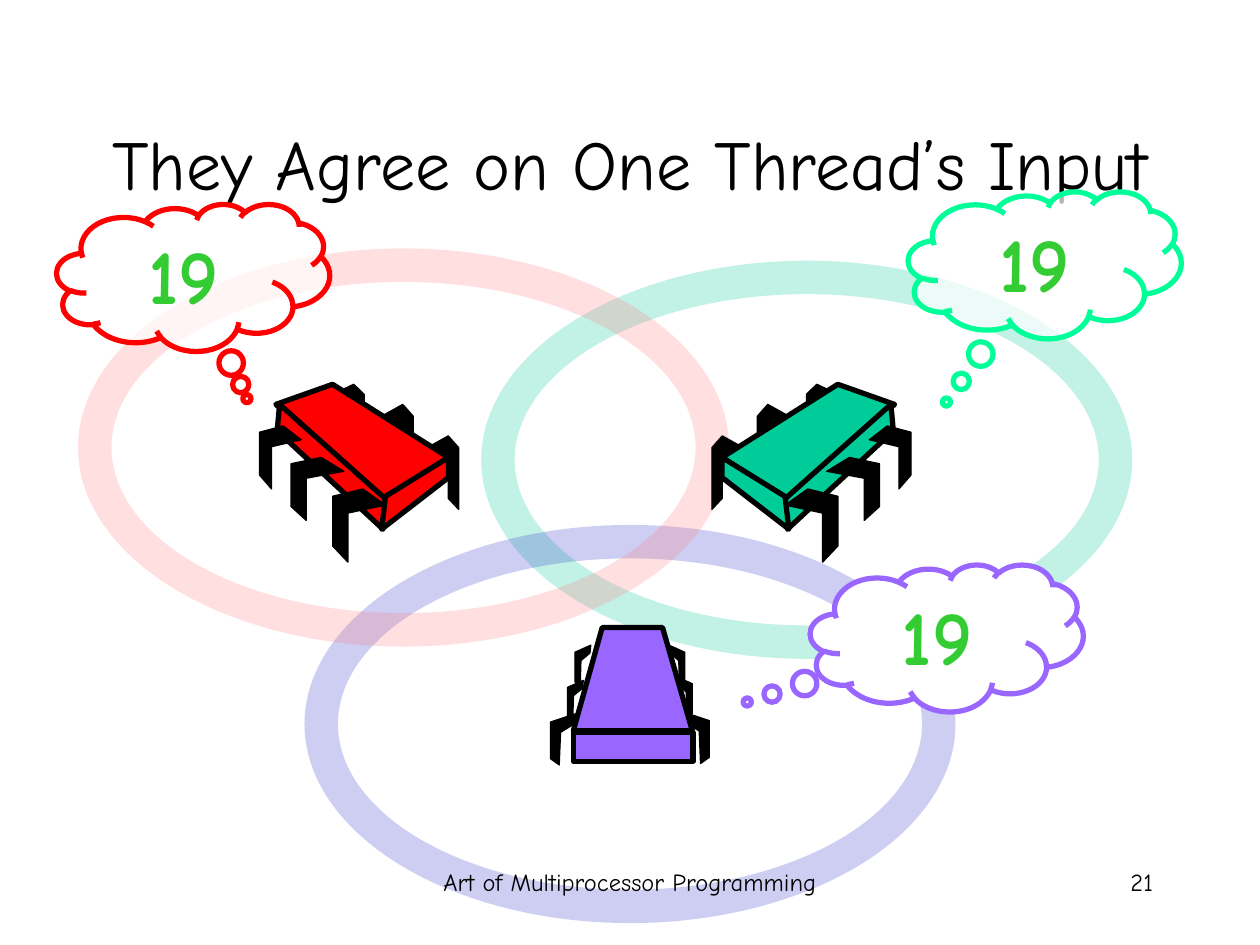
from pptx import Presentation
from pptx.dml.color import RGBColor
from pptx.enum.shapes import MSO_SHAPE
from pptx.enum.text import MSO_ANCHOR, MSO_AUTO_SIZE, PP_ALIGN
from pptx.oxml.ns import qn
from pptx.util import Pt
from lxml import etree

FONT = "Comic Neue"
BLACK = "000000"

# Leg outlines as fractions of their boxes
BACK_LEG = [(0, .16), (.67, 0), (1, .16), (1, 1), (.67, .85), (.67, .29), (0, .43)]
FRONT_LEG = [(.57, 0), (1, .22), (.29, .33), (.29, 1), (0, .78), (0, .1)]
HANGING_LEG = [(0, 0), (1, .17), (1, .88), (.67, 1), (.62, .37), (.05, .19)]


def rgb(color):
    return RGBColor.from_string(color)


def paint(shape, fill, line=None, width=0.75, alpha=None):
    shape.shadow.inherit = False
    shape.fill.solid()
    shape.fill.fore_color.rgb = rgb(fill)
    if alpha is not None:
        color = shape.element.spPr.find(qn("a:solidFill"))[0]
        etree.SubElement(color, qn("a:alpha")).set("val", str(alpha * 1000))
    if line:
        shape.line.color.rgb = rgb(line)
        shape.line.width = Pt(width)
    else:
        shape.line.fill.background()


def write(shape, text, size=14, color=BLACK, bold=False,
          align=PP_ALIGN.CENTER, anchor=MSO_ANCHOR.TOP):
    tf = shape.text_frame
    tf.word_wrap = True
    tf.auto_size = MSO_AUTO_SIZE.NONE
    tf.vertical_anchor = anchor
    p = tf.paragraphs[0]
    p.alignment = align
    r = p.add_run()
    r.text = text
    r.font.name = FONT
    r.font.size = Pt(size)
    r.font.bold = bold
    r.font.color.rgb = rgb(color)


def add_shape(shapes, kind, x, y, w, h):
    return shapes.add_shape(kind, Pt(x), Pt(y), Pt(w), Pt(h))


def add_polygon(shapes, points, x, y, fill, width, mirror=None):
    """Draw points relative to (x, y); mirror is the width to flip them within."""
    if mirror is not None:
        points = [(mirror - px, py) for px, py in points]
    corners = [(Pt(x + px), Pt(y + py)) for px, py in points]
    builder = shapes.build_freeform(*corners[0], scale=1.0)
    builder.add_line_segments(corners[1:], close=True)
    paint(builder.convert_to_shape(), fill, BLACK, width)


def add_leg(shapes, outline, box, x, y, mirror=None):
    left, top, w, h = box
    points = [(left + fx * w, top + fy * h) for fx, fy in outline]
    add_polygon(shapes, points, x, y, BLACK, 0.75, mirror)


def add_side_chip(s, x, y, color, mirrored=False):
    shapes = s.shapes.add_group_shape().shapes
    mirror = 113.8 if mirrored else None
    for box in [(95.8, 29.5, 18, 42), (69.8, 11.5, 18, 42), (41.8, 0, 18, 36)]:
        add_leg(shapes, BACK_LEG, box, x, y, mirror)
    top = [(41.8, 0), (108, 41.8), (70.6, 66.2), (9.4, 11.5)]
    flank = [(11.5, 11.5), (72, 65.5), (70.6, 82.8), (10.1, 26.6)]
    end = [(108, 41.8), (108, 53.3), (69.8, 82.8), (72, 64.1)]
    for face in (top, flank, end):
        add_polygon(shapes, face, x, y, color, 3, mirror)
    for box in [(41.8, 59.8, 30.2, 41.8), (18, 41.8, 30.2, 36), (0, 23.8, 23.8, 36)]:
        add_leg(shapes, FRONT_LEG, box, x, y, mirror)


def add_front_chip(s, x, y, color):
    shapes = s.shapes.add_group_shape().shapes
    width = 90.7

    def add_leg_pair(left, right_top, left_top, w, h):
        add_leg(shapes, HANGING_LEG, (left, right_top, w, h), x, y)
        add_leg(shapes, HANGING_LEG, (left, left_top, w, h), x, y, width)

    add_leg_pair(75.6, 48.2, 49, 15.1, 29.5)
    add_leg_pair(72, 28.1, 30.2, 9, 23.8)
    top = [(13, 59), (81, 59), (64, 0), (29.5, 0)]
    add_polygon(shapes, top, x, y, color, 3)
    front = add_shape(shapes, MSO_SHAPE.RECTANGLE, x + 13, y + 59.8, 68.4, 16.6)
    paint(front, color, BLACK, 3)
    add_leg_pair(67.7, 10.1, 10.1, 9, 23.8)


def add_ring(s, x, y, color):
    ring = add_shape(s.shapes, MSO_SHAPE.DONUT, x, y, 372, 227.5)
    ring.adjustments[0] = 0.084
    paint(ring, color, alpha=24)


def add_thought(s, x, y, tail, color, alpha=None):
    cloud = add_shape(s.shapes, MSO_SHAPE.CLOUD_CALLOUT, x, y, 156, 84)
    cloud.adjustments[0], cloud.adjustments[1] = tail
    paint(cloud, "FFFFFF", color, 3, alpha)
    write(cloud, "19", size=44, color="33CC33", bold=True, anchor=MSO_ANCHOR.MIDDLE)


def add_title(s, text, x, y, w, h):
    title = s.shapes.title
    title.left, title.top, title.width, title.height = Pt(x), Pt(y), Pt(w), Pt(h)
    write(title, text, size=40, anchor=MSO_ANCHOR.MIDDLE)


def add_footer(s, y):
    for text, x, w, align in [
        ("Art of Multiprocessor Programming", 246, 228, PP_ALIGN.CENTER),
        ("21", 516, 150, PP_ALIGN.RIGHT),
    ]:
        box = s.shapes.add_textbox(Pt(x), Pt(y), Pt(w), Pt(36))
        write(box, text, align=align)


def main():
    prs = Presentation()
    prs.slide_width, prs.slide_height = Pt(720), Pt(540)
    s = prs.slides.add_slide(prs.slide_layouts[5])
    add_title(s, "They Agree on One Thread’s Input", 54, 48, 612, 90)
    add_ring(s, 275, 149, "00CC99")
    add_ring(s, 174, 300, "3333CC")
    add_ring(s, 44.6, 142, "FF7C80")
    add_front_chip(s, 314.6, 358.6, "9966FF")
    add_thought(s, 32.4, 116.6, (0.197, 0.824), "FF0000", alpha=70)
    add_thought(s, 519, 109.4, (-0.36, 0.933), "00FF99", alpha=70)
    add_side_chip(s, 148.3, 219.6, "FF0000")
    add_side_chip(s, 406.8, 219.6, "00CC99", mirrored=True)
    add_thought(s, 463, 322.6, (-0.731, 0.435), "9966FF")
    add_footer(s, 492)
    prs.save("out.pptx")


if __name__ == "__main__":
    main()
